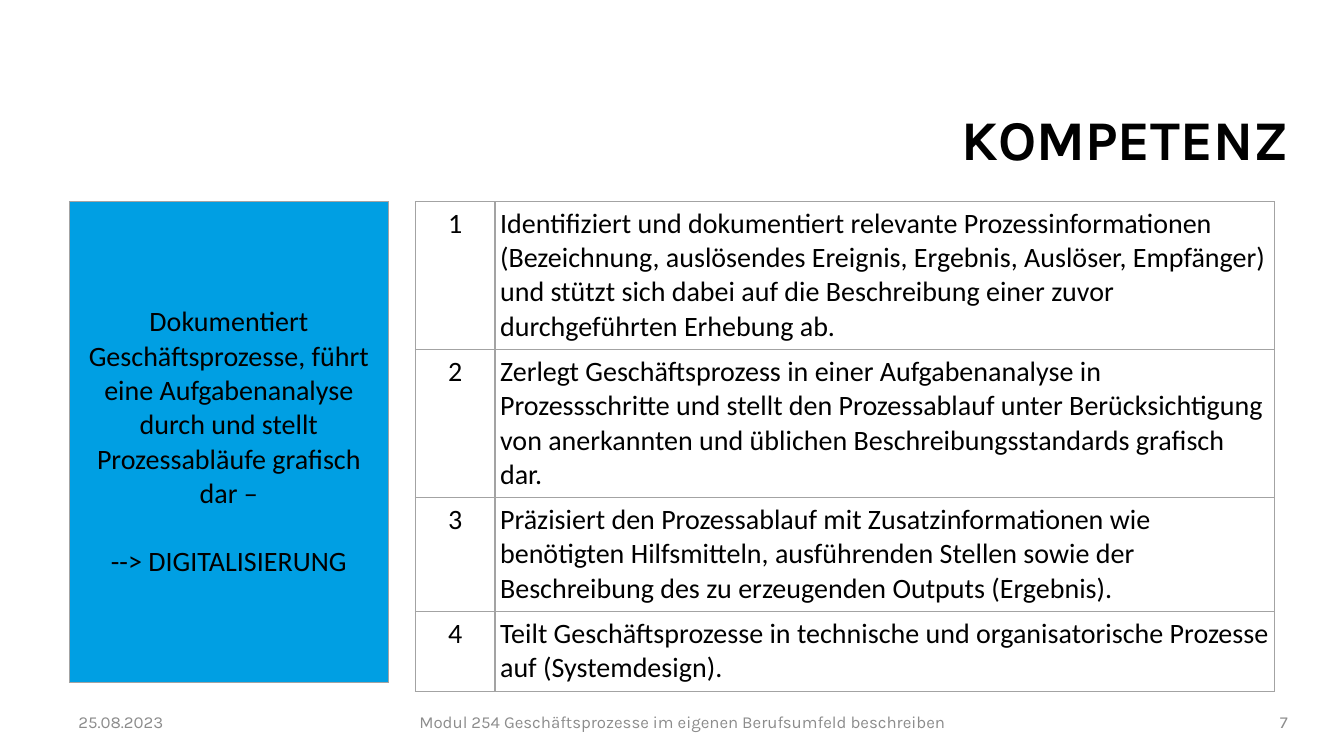
from lxml import etree
from pptx import Presentation
from pptx.dml.color import RGBColor
from pptx.enum.text import MSO_ANCHOR, PP_ALIGN
from pptx.oxml.ns import qn
from pptx.util import Inches, Pt

LEFT, CENTER, RIGHT = PP_ALIGN.LEFT, PP_ALIGN.CENTER, PP_ALIGN.RIGHT
TOP, MIDDLE = MSO_ANCHOR.TOP, MSO_ANCHOR.MIDDLE

WIDTH, HEIGHT = 13.33, 7.5
MARGIN = 0.68
BLACK, GREY, BORDER, BLUE = "000000", "8C8C8C", "A3A3A3", "009FE3"

TITLE = "KOMPETENZ"
COMPETENCE = [
    "Dokumentiert Geschäftsprozesse, führt eine Aufgabenanalyse durch "
    "und stellt Prozessabläufe grafisch dar –",
    "--> DIGITALISIERUNG",
]
GOALS = [
    "Identifiziert und dokumentiert relevante Prozessinformationen (Bezeichnung, "
    "auslösendes Ereignis, Ergebnis, Auslöser, Empfänger) und stützt sich dabei "
    "auf die Beschreibung einer zuvor durchgeführten Erhebung ab.",
    "Zerlegt Geschäftsprozess in einer Aufgabenanalyse in Prozessschritte und "
    "stellt den Prozessablauf unter Berücksichtigung von anerkannten und üblichen "
    "Beschreibungsstandards grafisch dar.",
    "Präzisiert den Prozessablauf mit Zusatzinformationen wie benötigten "
    "Hilfsmitteln, ausführenden Stellen sowie der Beschreibung des zu erzeugenden "
    "Outputs (Ergebnis).",
    "Teilt Geschäftsprozesse in technische und organisatorische Prozesse auf "
    "(Systemdesign).",
]
FOOTER = [
    ("25.08.2023", MARGIN, 1.57, LEFT),
    ("Modul 254 Geschäftsprozesse im eigenen Berufsumfeld beschreiben", 2.44, 8.66, CENTER),
    ("7", 11.3, 1.57, RIGHT),
]
TABLE_TOP = 2
COMPETENCE_LEFT, COMPETENCE_COLUMNS, COMPETENCE_ROWS = 0.69, [3.16], [4.77]
GOALS_LEFT, GOALS_COLUMNS, GOALS_ROWS = 4.12, [0.79, 7.73], [1.47, 1.47, 1.13, 0.79]


def color(value):
    return RGBColor.from_string(value)


def add_text(paragraph, text, size, font, shade, align, bold=False):
    paragraph.alignment = align
    run = paragraph.add_run()
    run.text = text
    run.font.size = Pt(size)
    run.font.name = font
    run.font.bold = bold
    run.font.color.rgb = color(shade)


def add_label(slide, text, left, top, width, height, size, shade, align, bold=False):
    box = slide.shapes.add_textbox(*map(Inches, (left, top, width, height)))
    frame = box.text_frame
    frame.word_wrap = True
    frame.vertical_anchor = MIDDLE
    add_text(frame.paragraphs[0], text, size, "Karla", shade, align, bold)
    return frame.paragraphs[0]


def add_borders(cell):
    properties = cell._tc.get_or_add_tcPr()
    for position, side in enumerate(("a:lnL", "a:lnR", "a:lnT", "a:lnB")):
        line = etree.Element(qn(side), w=str(Pt(1)))
        fill = etree.SubElement(line, qn("a:solidFill"))
        etree.SubElement(fill, qn("a:srgbClr"), val=BORDER)
        properties.insert(position, line)


def fill_cell(cell, lines, align, anchor, inset, fill=None):
    cell.margin_left = cell.margin_right = Inches(inset)
    cell.margin_top = cell.margin_bottom = Inches(inset)
    cell.vertical_anchor = anchor
    if fill:
        cell.fill.solid()
        cell.fill.fore_color.rgb = color(fill)
    else:
        cell.fill.background()
    add_borders(cell)
    frame = cell.text_frame
    for index, line in enumerate(lines):
        paragraph = frame.add_paragraph() if index else frame.paragraphs[0]
        paragraph.space_before = Pt(24 if index else 0)
        add_text(paragraph, line, 20, "Calibri", BLACK, align)


def add_grid(slide, left, columns, rows):
    size = (left, TABLE_TOP, sum(columns), sum(rows))
    table = slide.shapes.add_table(len(rows), len(columns), *map(Inches, size)).table
    table.first_row = table.horz_banding = False
    for column, width in zip(table.columns, columns):
        column.width = Inches(width)
    for row, height in zip(table.rows, rows):
        row.height = Inches(height)
    return table


def main():
    """Build the competence slide with its two tables."""
    presentation = Presentation()
    presentation.slide_width, presentation.slide_height = Inches(WIDTH), Inches(HEIGHT)
    slide = presentation.slides.add_slide(presentation.slide_layouts[6])

    for text, left, width, align in FOOTER:
        add_label(slide, text, left, 6.97, width, 0.39, 12, GREY, align)
    title = add_label(slide, TITLE, MARGIN, 1.02, 12.2, 0.79, 40, BLACK, RIGHT, True)
    title.line_spacing = 0.9

    competence = add_grid(slide, COMPETENCE_LEFT, COMPETENCE_COLUMNS, COMPETENCE_ROWS)
    fill_cell(competence.cell(0, 0), COMPETENCE, CENTER, MIDDLE, 0.06, BLUE)

    goals = add_grid(slide, GOALS_LEFT, GOALS_COLUMNS, GOALS_ROWS)
    for row, goal in enumerate(GOALS):
        fill_cell(goals.cell(row, 0), [str(row + 1)], CENTER, TOP, 0.05)
        fill_cell(goals.cell(row, 1), [goal], LEFT, TOP, 0.05)

    presentation.save("out.pptx")


if __name__ == "__main__":
    main()
